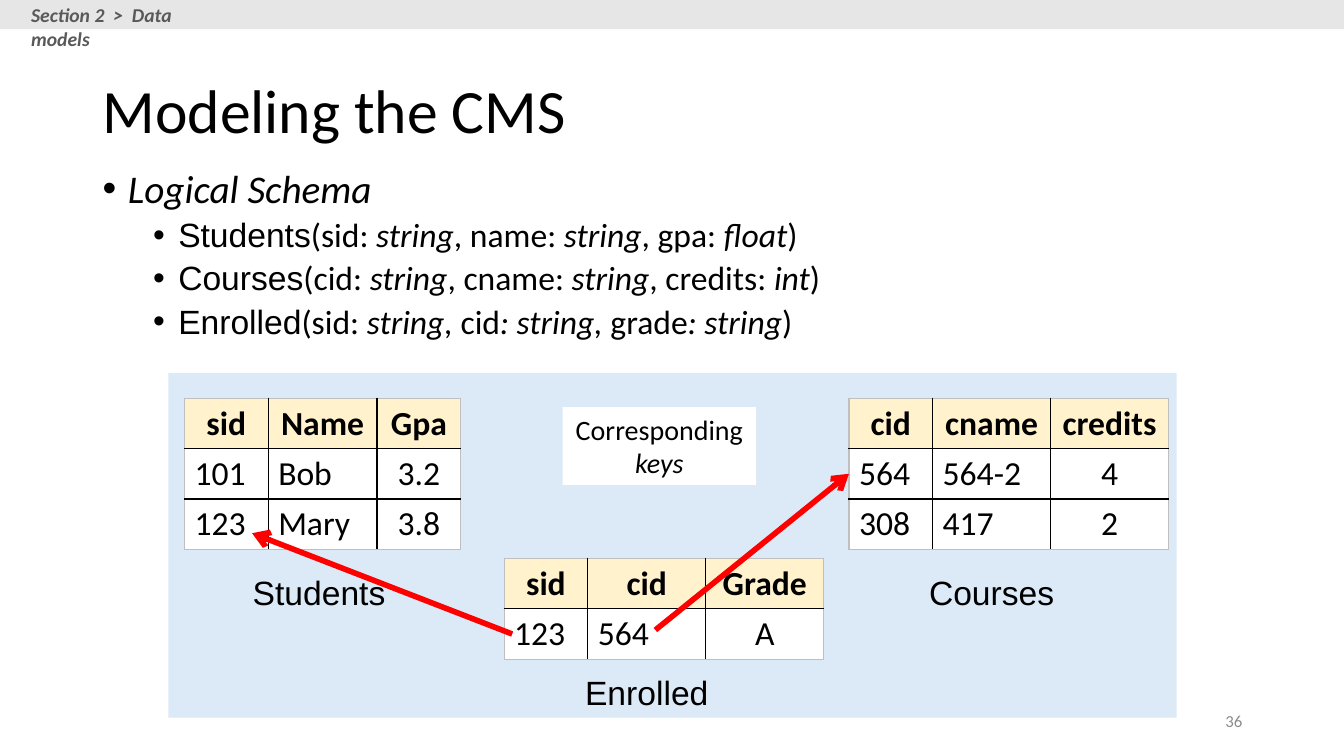
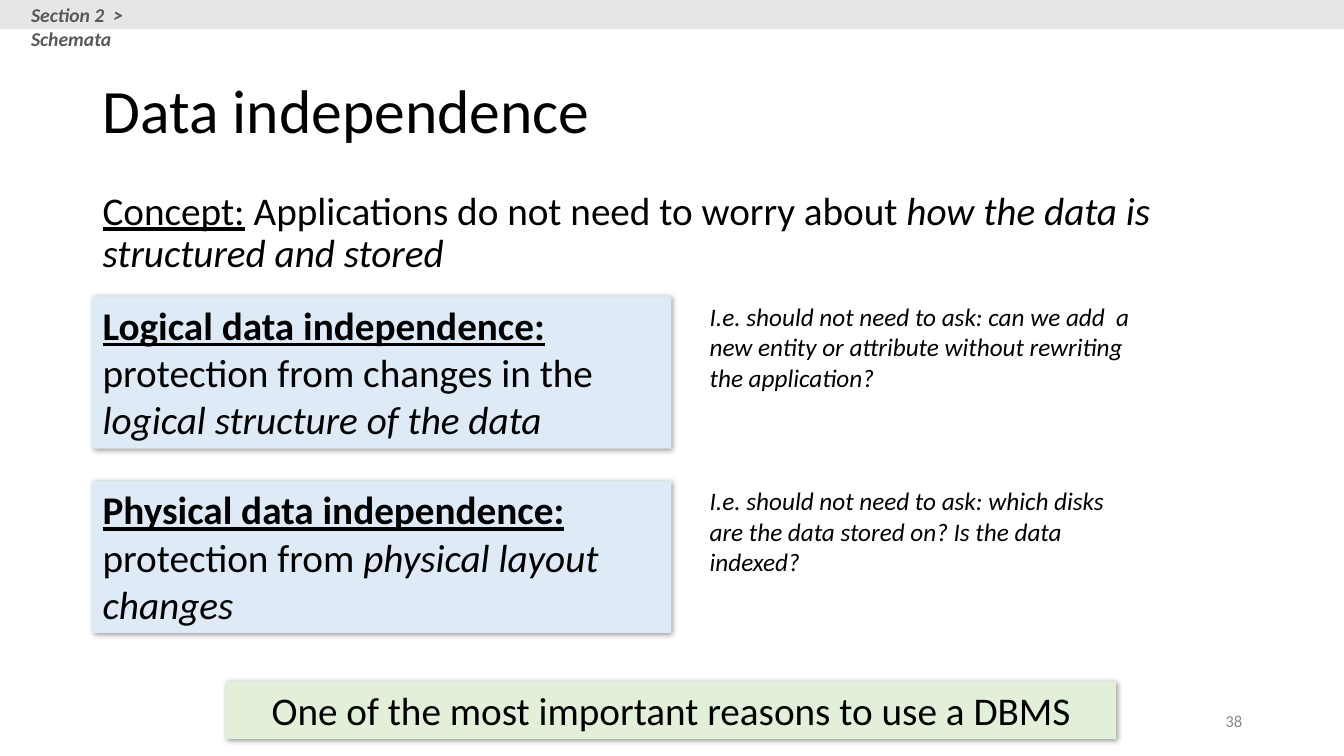
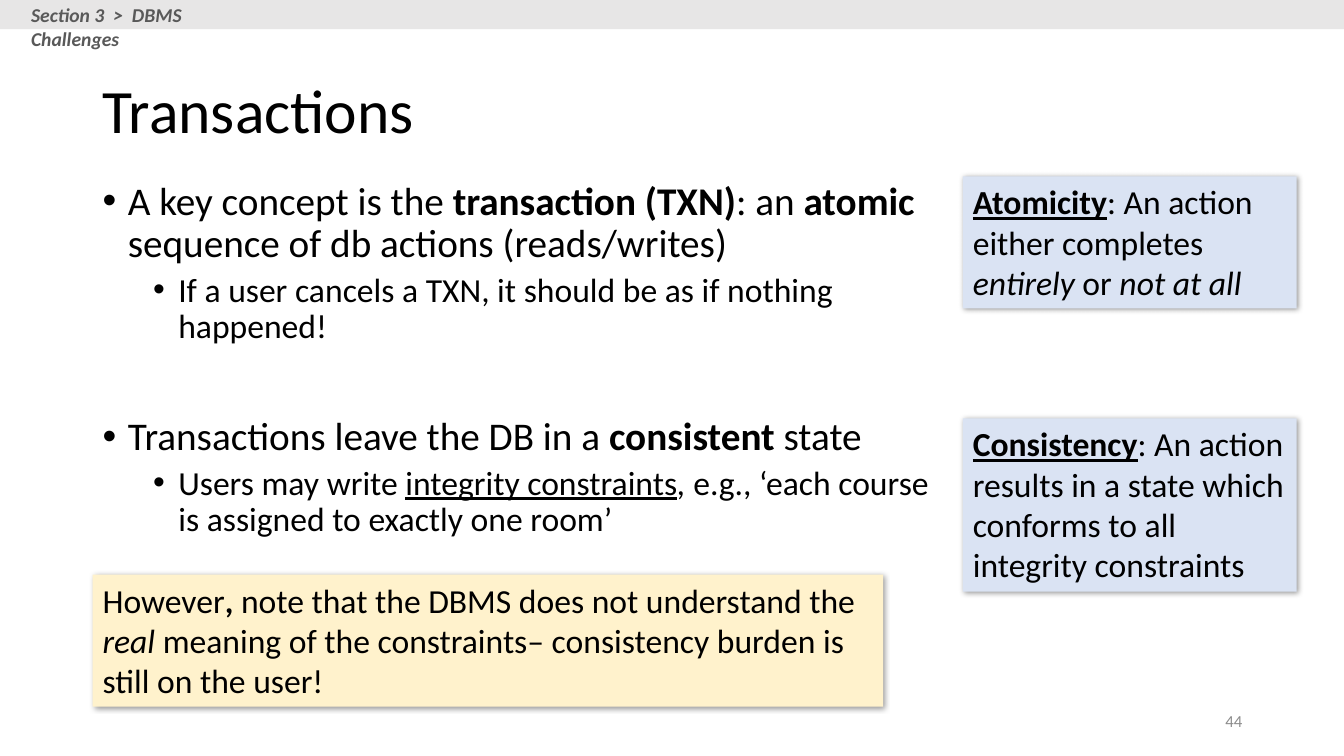
"""Builds three database lecture slides: logical schema, data independence and transactions."""
from lxml.etree import SubElement
from pptx import Presentation
from pptx.dml.color import RGBColor
from pptx.enum.shapes import MSO_CONNECTOR, MSO_SHAPE
from pptx.enum.text import MSO_ANCHOR, PP_ALIGN
from pptx.oxml.ns import qn
from pptx.util import Inches, Pt

BLACK = RGBColor(0x00, 0x00, 0x00)
WHITE = RGBColor(0xFF, 0xFF, 0xFF)
RED = RGBColor(0xFF, 0x00, 0x00)
BAND_GREY = RGBColor(0xE7, 0xE6, 0xE6)
SECTION_GREY = RGBColor(0x59, 0x59, 0x59)
NUMBER_GREY = RGBColor(0x8C, 0x8C, 0x8C)
EDGE_GREY = RGBColor(0xBF, 0xBF, 0xBF)
PANEL_BLUE = RGBColor(0x5B, 0x9B, 0xD5)
PALE_BLUE = RGBColor(0xDE, 0xEB, 0xF7)
SOFT_BLUE = RGBColor(0xDA, 0xE3, 0xF3)
PALE_GREEN = RGBColor(0xE2, 0xF0, 0xD9)
CREAM = RGBColor(0xFF, 0xF2, 0xCC)

CENTER = PP_ALIGN.CENTER
SLIDE_WIDTH, SLIDE_HEIGHT = 13.33, 7.5
LEFT = 0.92
ROW_HEIGHT = 0.5
LEVELS = [
    {"size": 28, "before": 10, "indent": 0.25},
    {"size": 24, "before": 5, "indent": 0.75},
]

MODELING = {"section": "Section 2  >  Data models", "section_width": 2.18,
            "title": "Modeling the CMS", "number": "36"}
INDEPENDENCE = {"section": "Section 2  >  Schemata", "section_width": 1.97,
                "title": "Data independence", "number": "38"}
TRANSACTIONS = {"section": "Section 3  >  DBMS Challenges", "section_width": 2.57,
                "title": "Transactions", "number": "44"}

SCHEMA = [
    (0, [("Logical Schema", "i")]),
    (1, [("Students", "a"), "(sid: ", ("string", "i"), ", name: ", ("string", "i"),
         ", gpa: ", ("float", "i"), ")"]),
    (1, [("Courses", "a"), "(cid: ", ("string", "i"), ", cname: ", ("string", "i"),
         ", credits: ", ("int", "i"), ")"]),
    (1, [("Enrolled", "a"), "(sid: ", ("string, ", "i"), "cid", (": string, ", "i"),
         "grade", (": string", "i"), ")"]),
]
RELATIONS = [
    {"name": "Students", "at": (1.83, 3.95), "label_at": (2.25, 5.62),
     "columns": (0.83, 1.08, 0.83),
     "rows": [("sid", "Name", "Gpa"), ("101", "Bob", "3.2"), ("123", "Mary", "3.8")]},
    {"name": "Courses", "at": (8.42, 3.95), "label_at": (8.92, 5.62),
     "columns": (0.83, 1.17, 1.17),
     "rows": [("cid", "cname", "credits"), ("564", "564-2", "4"), ("308", "417", "2")]},
    {"name": "Enrolled", "at": (5, 5.54), "label_at": (5.5, 6.62),
     "columns": (0.83, 1.17, 1.17),
     "rows": [("sid", "cid", "Grade"), ("123", "564", "A")]},
]
KEY_ARROWS = [((5.08, 6.29), (2.5, 5.29)), ((6.5, 6.25), (8.42, 4.7))]

CONCEPT = [("Concept:", "u"), " Applications do not need to worry about ",
           ("how the data is structured and stored", "i")]
INDEPENDENCE_KINDS = [
    ([("Logical data independence:", "bu"), (" ", "b"), "protection from changes in the ",
      ("logical structure of the data", "i")],
     "I.e. should not need to ask: can we add  a new entity or attribute "
     "without rewriting the application?", 4.45),
    ([("Physical data independence:", "bu"), (" ", "b"), "protection from ",
      ("physical layout changes", "i")],
     "I.e. should not need to ask: which disks are the data stored on? "
     "Is the data indexed?", 4.27),
]
REASON = "One of the most important reasons to use a DBMS"

TRANSACTION_POINTS = [
    (0, ["A key concept is the ", ("transaction (TXN)", "b"), ": an ", ("atomic ", "b"),
         "sequence of db actions (reads/writes)"]),
    (1, ["If a user cancels a TXN, it should be as if nothing happened!"]),
    (0, ["Transactions leave the DB in a ", ("consistent", "b"), " state"], 51),
    (1, ["Users may write ", ("integrity constraints", "u"), (",", "i"),
         " e.g., ‘each course is assigned to exactly one room’"]),
]
PROPERTIES = [
    ((9.55, 1.75, 3.31, 1.31),
     [("Atomicity", "bu"), ": An action either completes ", ("entirely", "i"), " or ",
      ("not at all", "i")]),
    ((9.55, 4.15, 3.31, 1.72),
     [("Consistency", "bu"),
      ": An action results in a state which conforms to all integrity constraints"]),
]
CAVEAT = ["However", (",", "b"), " note that the DBMS does not understand the ", ("real", "i"),
          " meaning of the constraints– consistency burden is still on the user!"]


def write(paragraph, runs, size=24, color=BLACK, align=PP_ALIGN.LEFT, line=None, before=0):
    """Write runs, each plain or paired with style letters: b, i, u, or a for Arial."""
    paragraph.alignment = align
    paragraph.space_before = Pt(before)
    if line:
        paragraph.line_spacing = line
    for part in [runs] if isinstance(runs, str) else runs:
        text, style = (part, "") if isinstance(part, str) else part
        run = paragraph.add_run()
        run.text = text
        font = run.font
        font.name = "Arial" if "a" in style else "Calibri"
        font.size = Pt(size)
        font.color.rgb = color
        font.bold = "b" in style
        font.italic = "i" in style
        font.underline = "u" in style


def add_text(slide, place, runs, anchor=MSO_ANCHOR.TOP, **style):
    """Add a wrapped text box with one paragraph."""
    box = slide.shapes.add_textbox(*map(Inches, place))
    box.text_frame.word_wrap = True
    box.text_frame.vertical_anchor = anchor
    write(box.text_frame.paragraphs[0], runs, **style)


def add_panel(slide, place, fill, runs=(), opacity=None, shadow=False, **style):
    """Add a filled rectangle without outline, with optional text and soft shadow."""
    panel = slide.shapes.add_shape(MSO_SHAPE.RECTANGLE, *map(Inches, place))
    panel.fill.solid()
    panel.fill.fore_color.rgb = fill
    panel.line.fill.background()
    panel.shadow.inherit = False
    properties = panel.element.spPr
    if opacity:
        tint = properties.find(qn("a:solidFill"))[0]
        SubElement(tint, qn("a:alpha"), val=str(opacity * 1000))
    if shadow:
        outer = SubElement(properties.find(qn("a:effectLst")), qn("a:outerShdw"),
                           blurRad=str(Pt(4)), dist=str(Pt(1)), dir="2700000",
                           algn="tl", rotWithShape="0")
        shade = SubElement(outer, qn("a:srgbClr"), val=str(BLACK))
        SubElement(shade, qn("a:alpha"), val="40000")
    if runs:
        panel.text_frame.word_wrap = True
        panel.text_frame.vertical_anchor = MSO_ANCHOR.TOP
        write(panel.text_frame.paragraphs[0], runs, **style)


def add_bullets(slide, place, points):
    """Add a two-level bullet list; a point may give its own space before."""
    frame = slide.shapes.add_textbox(*map(Inches, place)).text_frame
    frame.word_wrap = True
    for index, (level, runs, *gap) in enumerate(points):
        paragraph = frame.add_paragraph() if index else frame.paragraphs[0]
        look = LEVELS[level]
        paragraph.level = level
        write(paragraph, runs, size=look["size"], line=0.9,
              before=gap[0] if gap else look["before"])
        properties = paragraph._p.get_or_add_pPr()
        properties.set("marL", str(Inches(look["indent"])))
        properties.set("indent", str(Inches(-0.25)))
        SubElement(properties, qn("a:buFont"), typeface="Arial")
        SubElement(properties, qn("a:buChar"), char="•")


def add_relation(slide, relation):
    """Add a relation's table and the name below it."""
    rows, widths = relation["rows"], relation["columns"]
    last_row, last_column = len(rows) - 1, len(widths) - 1
    size = (sum(widths), ROW_HEIGHT * len(rows))
    table = slide.shapes.add_table(len(rows), len(widths),
                                   *map(Inches, relation["at"] + size)).table
    table.first_row = table.horz_banding = False
    for column, width in zip(table.columns, widths):
        column.width = Inches(width)
    for r, values in enumerate(rows):
        for c, value in enumerate(values):
            cell = table.cell(r, c)
            outer_edges = {"lnL": c == 0, "lnR": c == last_column,
                           "lnT": r == 0, "lnB": r == last_row}
            for edge, is_outer in outer_edges.items():
                border = SubElement(cell._tc.get_or_add_tcPr(), qn("a:" + edge), w=str(Pt(1)))
                SubElement(SubElement(border, qn("a:solidFill")), qn("a:srgbClr"),
                           val=str(EDGE_GREY if is_outer else BLACK))
            cell.fill.solid()
            cell.fill.fore_color.rgb = WHITE if r else CREAM
            write(cell.text_frame.paragraphs[0], [(value, "" if r else "b")],
                  align=CENTER if r == 0 or c == last_column else PP_ALIGN.LEFT)
    add_text(slide, relation["label_at"] + (1.83, 0.5), [(relation["name"], "a")], align=CENTER)


def add_key_arrow(slide, start, end):
    """Add a red arrow from a foreign key to the key it refers to."""
    arrow = slide.shapes.add_connector(MSO_CONNECTOR.STRAIGHT, *map(Inches, start + end))
    arrow.line.color.rgb = RED
    arrow.line.width = Pt(4)
    SubElement(arrow.line._get_or_add_ln(), qn("a:tailEnd"), type="arrow")
    SubElement(arrow.element.spPr, qn("a:effectLst"))


def start_slide(deck, heading):
    """Add a slide with the shared band, section, title and number."""
    slide = deck.slides.add_slide(deck.slide_layouts[6])
    add_panel(slide, (0, 0, SLIDE_WIDTH, 0.29), BAND_GREY)
    add_text(slide, (0.21, -0.02, heading["section_width"], 0.34),
             [(heading["section"], "bi")], size=14, color=SECTION_GREY)
    add_text(slide, (LEFT, 0.4, 11.5, 1.45), heading["title"], size=44, line=0.9,
             anchor=MSO_ANCHOR.MIDDLE)
    add_text(slide, (9.42, 6.95, 3, 0.4), heading["number"], size=12, color=NUMBER_GREY,
             align=PP_ALIGN.RIGHT, anchor=MSO_ANCHOR.MIDDLE)
    return slide


def build_modeling(deck):
    """Build the logical schema slide."""
    slide = start_slide(deck, MODELING)
    add_panel(slide, (1.67, 3.7, 10, 3.42), PANEL_BLUE, opacity=21)
    add_bullets(slide, (LEFT, 1.63, 9, 2), SCHEMA)
    for relation in RELATIONS:
        add_relation(slide, relation)
    for start, end in KEY_ARROWS:
        add_key_arrow(slide, start, end)
    add_panel(slide, (5.58, 4.04, 1.92, 0.77), WHITE, ["Corresponding ", ("keys", "i")],
              size=20, align=CENTER)


def build_independence(deck):
    """Build the data independence slide."""
    slide = start_slide(deck, INDEPENDENCE)
    add_text(slide, (LEFT, 1.85, 11.5, 1), CONCEPT, size=28, line=0.9, before=10)
    for index, (definition, question, width) in enumerate(INDEPENDENCE_KINDS):
        top = 2.94 + 1.83 * index
        add_panel(slide, (LEFT, top, 5.74, 1.51), PALE_BLUE, definition, shadow=True, size=28)
        add_text(slide, (6.94, top, width, 1.01), [(question, "i")], size=18)
    add_panel(slide, (2.24, 6.76, 8.83, 0.57), PALE_GREEN, REASON, shadow=True, size=28,
              align=CENTER)


def build_transactions(deck):
    """Build the transactions slide."""
    slide = start_slide(deck, TRANSACTIONS)
    add_bullets(slide, (LEFT, 1.75, 8.39, 3.8), TRANSACTION_POINTS)
    for place, definition in PROPERTIES:
        add_panel(slide, place, SOFT_BLUE, definition, shadow=True)
    add_panel(slide, (LEFT, 5.7, 7.84, 1.31), CREAM, CAVEAT, shadow=True)


def main():
    """Build and save the deck."""
    deck = Presentation()
    deck.slide_width, deck.slide_height = Inches(SLIDE_WIDTH), Inches(SLIDE_HEIGHT)
    for build in (build_modeling, build_independence, build_transactions):
        build(deck)
    deck.save("out.pptx")


if __name__ == "__main__":
    main()
